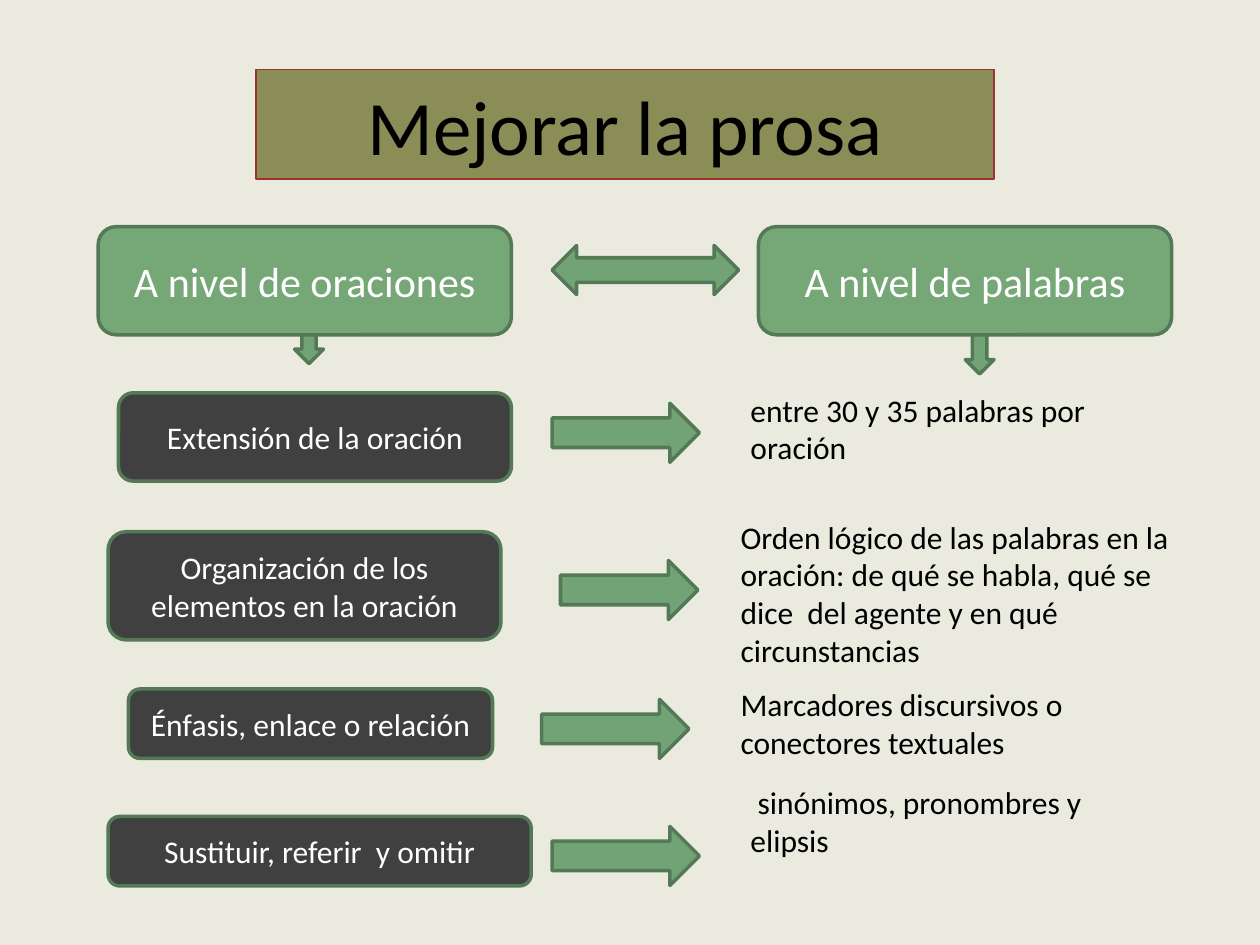
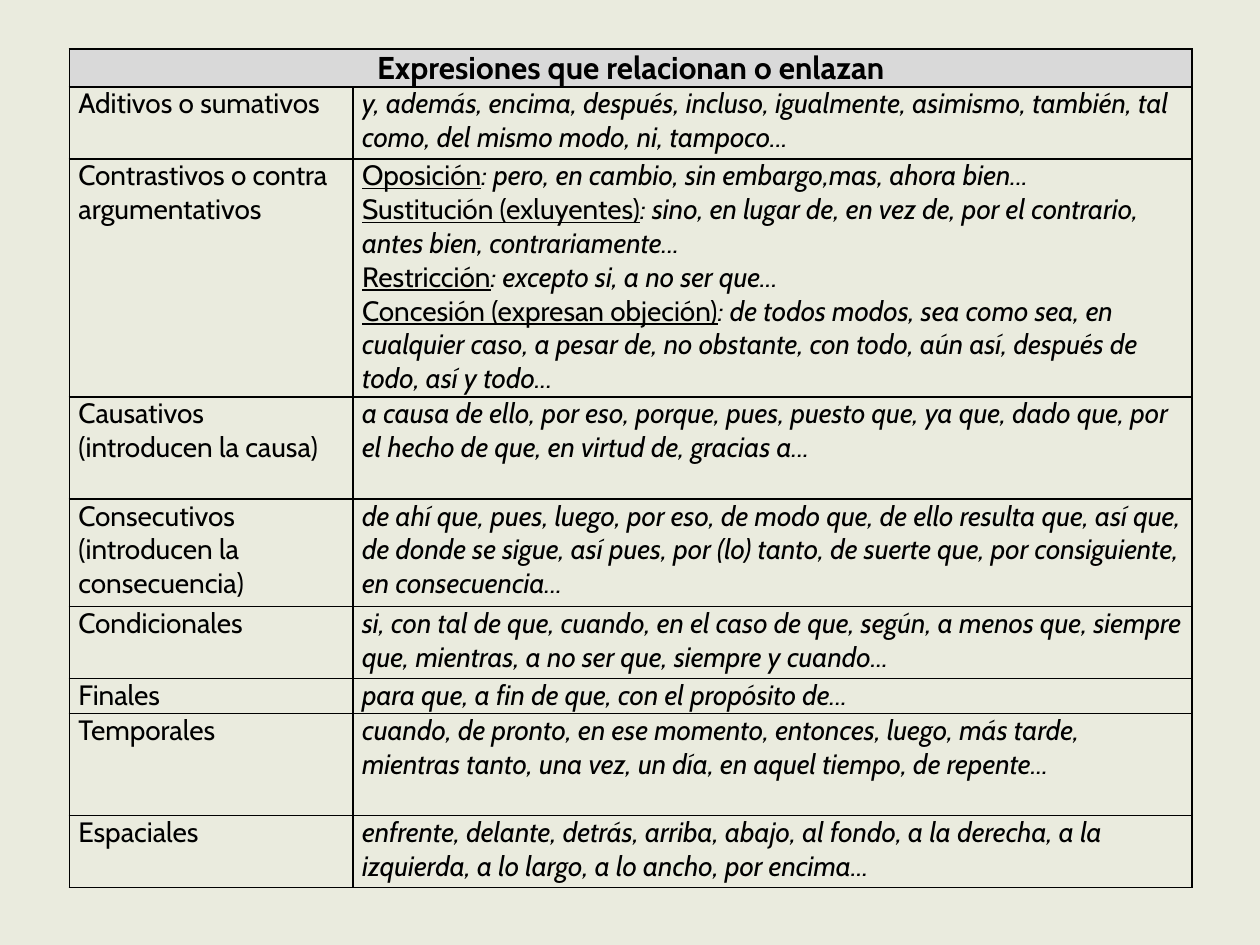
from lxml.etree import SubElement
from pptx import Presentation
from pptx.dml.color import RGBColor
from pptx.enum.shapes import MSO_SHAPE
from pptx.enum.text import MSO_ANCHOR, MSO_AUTO_SIZE, PP_ALIGN
from pptx.oxml.ns import qn
from pptx.util import Cm, Pt

HUES = {
    "paper": "EAEBDE", "olive": "8A8E56", "red": "9D3232",
    "green": "76A776", "arrow": "72A376", "edge": "547957",
    "dark": "404040", "grey": "D9D9D9", "black": "000000", "white": "FFFFFF",
}

FORMS = {
    "title": {"name": "Calibri", "size": Pt(44), "color": "black"},
    "level": {"name": "Calibri", "size": Pt(24), "color": "white"},
    "topic": {"name": "Calibri", "size": Pt(18), "color": "white"},
    "note": {"name": "Calibri", "size": Pt(18), "color": "black"},
    "head": {"name": "Cabin", "size": Pt(18), "bold": True, "color": "black"},
    "label": {"name": "Cabin", "size": Pt(16), "color": "black"},
}
FORMS["words"] = FORMS["label"] | {"italic": True}
FORMS["kind"] = FORMS["label"] | {"underline": True}

LEVELS = [
    ("A nivel de oraciones", 1.98, 5.94, 0.58),
    ("A nivel de palabras", 15.29, 19.46, 0.79),
]

TOPICS = [
    ("Extensión de la oración", (2.39, 7.92, 7.92, 1.78), (11.13, 8.13, 2.97),
     "entre 30 y 35 palabras por oración", (14.88, 7.75, 8.74, 1.8)),
    ("Organización de los elementos en la oración",
     (2.18, 10.72, 7.92, 2.18), (11.3, 11.3, 2.77),
     "Orden lógico de las palabras en la oración: de qué se habla, qué se "
     "dice  del agente y en qué circunstancias", (14.68, 10.31, 9.53, 3.33)),
    ("Énfasis, enlace o relación", (2.59, 13.89, 7.34, 1.4),
     (10.92, 14.1, 2.97),
     "Marcadores discursivos o conectores textuales",
     (14.68, 13.69, 8.53, 1.8)),
    ("Sustituir, referir  y omitir", (2.18, 16.46, 8.53, 1.4),
     (11.13, 16.66, 2.97),
     " sinónimos, pronombres y elipsis", (14.88, 15.67, 8.13, 1.8)),
]

LINKS = [
    (1.45, ["Aditivos o sumativos"],
     ["y, además, encima, después, incluso, igualmente, asimismo, también, "
      "tal como, del mismo modo, ni, tampoco..."]),
    (4.8, ["Contrastivos o contra argumentativos"],
     [("Oposición", ": pero, en cambio, sin embargo,mas, ahora bien..."),
      ("Sustitución (exluyentes)",
       ": sino, en lugar de, en vez de, por el contrario, antes bien, "
       "contrariamente..."),
      ("Restricción", ": excepto si, a no ser que..."),
      ("Concesión (expresan objeción)",
       ": de todos modos, sea como sea, en cualquier caso, a pesar de, "
       "no obstante, con todo, aún así, después de todo, así y todo...")]),
    (2.06, ["Causativos", "(introducen la causa)"],
     ["a causa de ello, por eso, porque, pues, puesto que, ya que, dado que, "
      "por el hecho de que, en virtud de, gracias a..."]),
    (2.16, ["Consecutivos", "(introducen la consecuencia)"],
     ["de ahí que, pues, luego, por eso, de modo que, de ello resulta que, "
      "así que, de donde se sigue, así pues, por (lo) tanto, de suerte que, "
      "por consiguiente, en consecuencia..."]),
    (1.45, ["Condicionales"],
     ["si, con tal de que, cuando, en el caso de que, según, a menos que, "
      "siempre que, mientras, a no ser que, siempre y cuando..."]),
    (0.71, ["Finales"], ["para que, a fin de que, con el propósito de..."]),
    (2.06, ["Temporales"],
     ["cuando, de pronto, en ese momento, entonces, luego, más tarde, "
      "mientras tanto, una vez, un día, en aquel tiempo, de repente..."]),
    (1.45, ["Espaciales"],
     ["enfrente, delante, detrás, arriba, abajo, al fondo, a la derecha, "
      "a la izquierda, a lo largo, a lo ancho, por encima..."]),
]


def tint(name):
    return RGBColor.from_string(HUES[name])


def assign(item, **values):
    for name, value in values.items():
        setattr(item, name, value)


class Deck:
    def __init__(self):
        self.show = Presentation()
        assign(self.show, slide_width=Cm(25.4), slide_height=Cm(19.05))
        self.paint(self.show.slide_master.background, "paper")
        self.slide = None

    def page(self, layout):
        self.slide = self.show.slides.add_slide(self.show.slide_layouts[layout])

    def paint(self, item, hue):
        item.fill.solid()
        item.fill.fore_color.rgb = tint(hue)

    def edge(self, item, hue, width):
        item.line.color.rgb = tint(hue)
        item.line.width = Pt(width)

    def say(self, par, text, form):
        run = par.add_run()
        run.text = text
        for name, value in FORMS[form].items():
            if name == "color":
                run.font.color.rgb = tint(value)
            else:
                setattr(run.font, name, value)

    def title(self, text, left, top, width, height):
        item = self.slide.shapes.title
        assign(item, left=Cm(left), top=Cm(top), width=Cm(width), height=Cm(height))
        self.paint(item, "olive")
        self.edge(item, "red", 0.75)
        frame = item.text_frame
        assign(frame, auto_size=MSO_AUTO_SIZE.NONE, vertical_anchor=MSO_ANCHOR.MIDDLE)
        frame.paragraphs[0].alignment = PP_ALIGN.CENTER
        self.say(frame.paragraphs[0], text, "title")

    def shape(self, kind, place, hue="arrow"):
        item = self.slide.shapes.add_shape(kind, *map(Cm, place))
        item.shadow.inherit = False
        self.paint(item, hue)
        self.edge(item, "edge", 2)
        return item

    def box(self, text, place, hue, form):
        item = self.shape(MSO_SHAPE.ROUNDED_RECTANGLE, place, hue)
        frame = item.text_frame
        assign(frame, word_wrap=True, vertical_anchor=MSO_ANCHOR.MIDDLE)
        frame.paragraphs[0].alignment = PP_ALIGN.CENTER
        self.say(frame.paragraphs[0], text, form)

    def note(self, text, place):
        frame = self.slide.shapes.add_textbox(*map(Cm, place)).text_frame
        assign(frame, word_wrap=True, auto_size=MSO_AUTO_SIZE.SHAPE_TO_FIT_TEXT)
        self.say(frame.paragraphs[0], text, "note")

    def cell(self, cell, lines=(), form="label", hue=None):
        assign(cell, margin_left=Cm(0.18), margin_right=Cm(0.18),
               margin_top=0, margin_bottom=0)
        props = cell._tc.get_or_add_tcPr()
        for side in ("a:lnL", "a:lnR", "a:lnT", "a:lnB"):
            line = SubElement(props, qn(side), w=str(Pt(1)))
            fill = SubElement(line, qn("a:solidFill"))
            SubElement(fill, qn("a:srgbClr"), val=HUES["black"])
        if hue:
            self.paint(cell, hue)
        else:
            cell.fill.background()
        frame = cell.text_frame
        for spot, line in enumerate(lines):
            par = frame.add_paragraph() if spot else frame.paragraphs[0]
            if isinstance(line, tuple):
                kind, line = line
                self.say(par, kind, "kind")
            self.say(par, line, form)

    def table(self, head, rows, place, widths, top):
        frame = self.slide.shapes.add_table(len(rows) + 1, 2, *map(Cm, place))
        grid = frame.table
        assign(grid, first_row=False, horz_banding=False)
        for col, width in zip(grid.columns, widths):
            col.width = Cm(width)
        for row, height in zip(grid.rows, [top] + [row[0] for row in rows]):
            row.height = Cm(height)
        first, last = grid.rows[0].cells
        first.merge(last)
        self.cell(first, [head], "head", "grey")
        self.cell(last, hue="grey")
        first.text_frame.paragraphs[0].alignment = PP_ALIGN.CENTER
        for spot, (_, label, words) in enumerate(rows, 1):
            self.cell(grid.cell(spot, 0), label)
            self.cell(grid.cell(spot, 1), words, "words")


def main():
    deck = Deck()
    deck.page(5)
    deck.title("Mejorar la prosa", 5.16, 1.4, 14.88, 2.21)
    for text, left, tip, drop in LEVELS:
        deck.box(text, (left, 4.57, 8.33, 2.18), "green", "level")
        deck.shape(MSO_SHAPE.DOWN_ARROW, (tip, 6.75, 0.58, drop))
    deck.shape(MSO_SHAPE.LEFT_RIGHT_ARROW, (11.13, 4.95, 3.76, 0.99))
    for topic, place, arrow, note, area in TOPICS:
        deck.box(topic, place, "dark", "topic")
        deck.shape(MSO_SHAPE.RIGHT_ARROW, (*arrow, 1.19))
        deck.note(note, area)

    deck.page(6)
    deck.table("Expresiones que relacionan o enlazan", LINKS,
               (1.4, 0.99, 22.63, 16.87), (5.72, 16.91), 0.76)
    deck.show.save("out.pptx")


if __name__ == "__main__":
    main()
